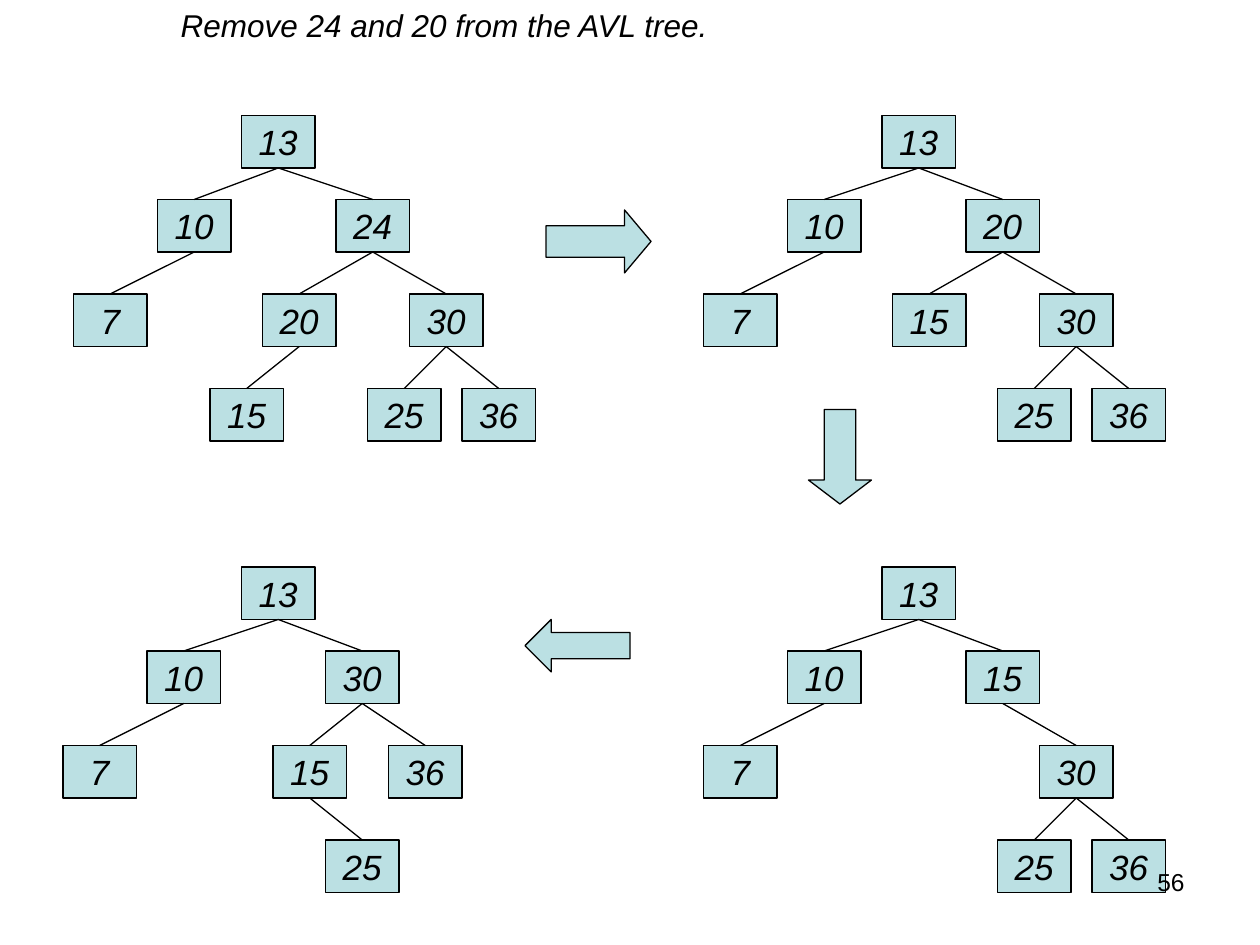
import dataclasses

import pptx
import pptx.dml.color
import pptx.enum.shapes
import pptx.enum.text
import pptx.oxml
import pptx.oxml.ns
import pptx.util

Pt = pptx.util.Pt
RGB = pptx.dml.color.RGBColor
SHAPE = pptx.enum.shapes.MSO_SHAPE
ALIGN = pptx.enum.text.PP_ALIGN
ANCHOR = pptx.enum.text.MSO_ANCHOR


@dataclasses.dataclass(frozen=True)
class Theme:
    font: str = "Arial"
    ink: RGB = RGB(0, 0, 0)
    fill: RGB = RGB(0xBB, 0xE0, 0xE3)
    title_size: int = 18
    node_size: int = 20
    number_size: int = 14
    line: float = 0.75
    node_width: int = 42
    node_height: int = 30
    levels: tuple = (0, 48, 102, 156)


class Deck:
    """Draws the elements of a tree diagram in one style on the current slide."""

    def __init__(self, theme, s):
        self.theme = theme
        self.s = s

    def label(self, tf, text, size, align, italic=True):
        p = tf.paragraphs[0]
        p.text = text
        p.alignment = align
        p.font.name = self.theme.font
        p.font.size = Pt(size)
        p.font.italic = italic
        p.font.color.rgb = self.theme.ink
        return p

    def title(self, text, left, top, width, height, indent):
        sp = self.s.shapes.title
        sp.left, sp.top, sp.width, sp.height = map(Pt, (left, top, width, height))
        tf = sp.text_frame
        tf.auto_size = pptx.enum.text.MSO_AUTO_SIZE.NONE
        tf.vertical_anchor = ANCHOR.TOP
        p = self.label(tf, text, self.theme.title_size, ALIGN.LEFT)
        pPr = p._p.get_or_add_pPr()
        pPr.set("marL", str(Pt(indent)))
        pPr.set("indent", "0")

    def number(self, text, left, top, width, height):
        tf = self.s.shapes.add_textbox(*map(Pt, (left, top, width, height))).text_frame
        tf.word_wrap = True
        self.label(tf, text, self.theme.number_size, ALIGN.RIGHT, italic=False)

    def shape(self, kind, left, top, width, height):
        sp = self.s.shapes.add_shape(kind, *map(Pt, (left, top, width, height)))
        sp.shadow.inherit = False
        sp.fill.solid()
        sp.fill.fore_color.rgb = self.theme.fill
        sp.line.color.rgb = self.theme.ink
        sp.line.width = Pt(self.theme.line)
        return sp

    def arrow(self, kind, left, top, width, height, head):
        sp = self.shape(kind, left, top, width, height)
        sp.adjustments[0] = 0.5
        sp.adjustments[1] = head

    def node(self, value, left, top):
        t = self.theme
        sp = self.shape(SHAPE.RECTANGLE, left, top, t.node_width, t.node_height)
        tf = sp.text_frame
        tf.word_wrap = False
        tf.vertical_anchor = ANCHOR.MIDDLE
        self.label(tf, str(value), t.node_size, ALIGN.CENTER)
        return sp

    def edge(self, parent, child):
        line = self.s.shapes.add_connector(
            pptx.enum.shapes.MSO_CONNECTOR.STRAIGHT, 0, 0, 0, 0)
        line.begin_connect(parent, 2)
        line.end_connect(child, 0)
        line.line.color.rgb = self.theme.ink
        line.line.width = Pt(self.theme.line)
        spPr = line._element.spPr
        spPr.append(pptx.oxml.parse_xml(
            f"<a:effectLst {pptx.oxml.ns.nsdecls('a')}/>"))

    def tree(self, root, top, level=0):
        value, left, *children = root
        sp = self.node(value, left, top + self.theme.levels[level])
        for child in children:
            self.edge(sp, self.tree(child, top, level + 1))
        return sp


TOP_ROW, BOTTOM_ROW = 66, 324
LEFT_BRANCH = (10, 450, (7, 402))
RIGHT_BRANCH = (30, 594, (25, 570), (36, 624))

TREES = [
    (TOP_ROW, (13, 138,
               (10, 90, (7, 42)),
               (24, 192,
                (20, 150, (15, 120)),
                (30, 234, (25, 210), (36, 264))))),
    (TOP_ROW, (13, 504, LEFT_BRANCH, (20, 552, (15, 510), RIGHT_BRANCH))),
    (BOTTOM_ROW, (13, 504, LEFT_BRANCH, (15, 552, RIGHT_BRANCH))),
    (BOTTOM_ROW, (13, 138,
                  (10, 84, (7, 36)),
                  (30, 186, (15, 156, (25, 186)), (36, 222)))),
]

ARROWS = [
    (SHAPE.RIGHT_ARROW, 312, 120, 60, 36, 0.42),
    (SHAPE.DOWN_ARROW, 462, 234, 36, 54, 0.38),
    (SHAPE.LEFT_ARROW, 300, 354, 60, 30, 0.5),
]


def main():
    prs = pptx.Presentation()
    prs.slide_width, prs.slide_height = Pt(720), Pt(540)
    s = prs.slides.add_slide(prs.slide_layouts[5])
    deck = Deck(Theme(), s)
    deck.title("Remove 24 and 20 from the AVL tree.", 60, 0, 588, 29, indent=36)
    for top, root in TREES:
        deck.tree(root, top)
    for arrow in ARROWS:
        deck.arrow(*arrow)
    deck.number("56", 516, 492, 168, 37.5)
    prs.save("out.pptx")


if __name__ == "__main__":
    main()
